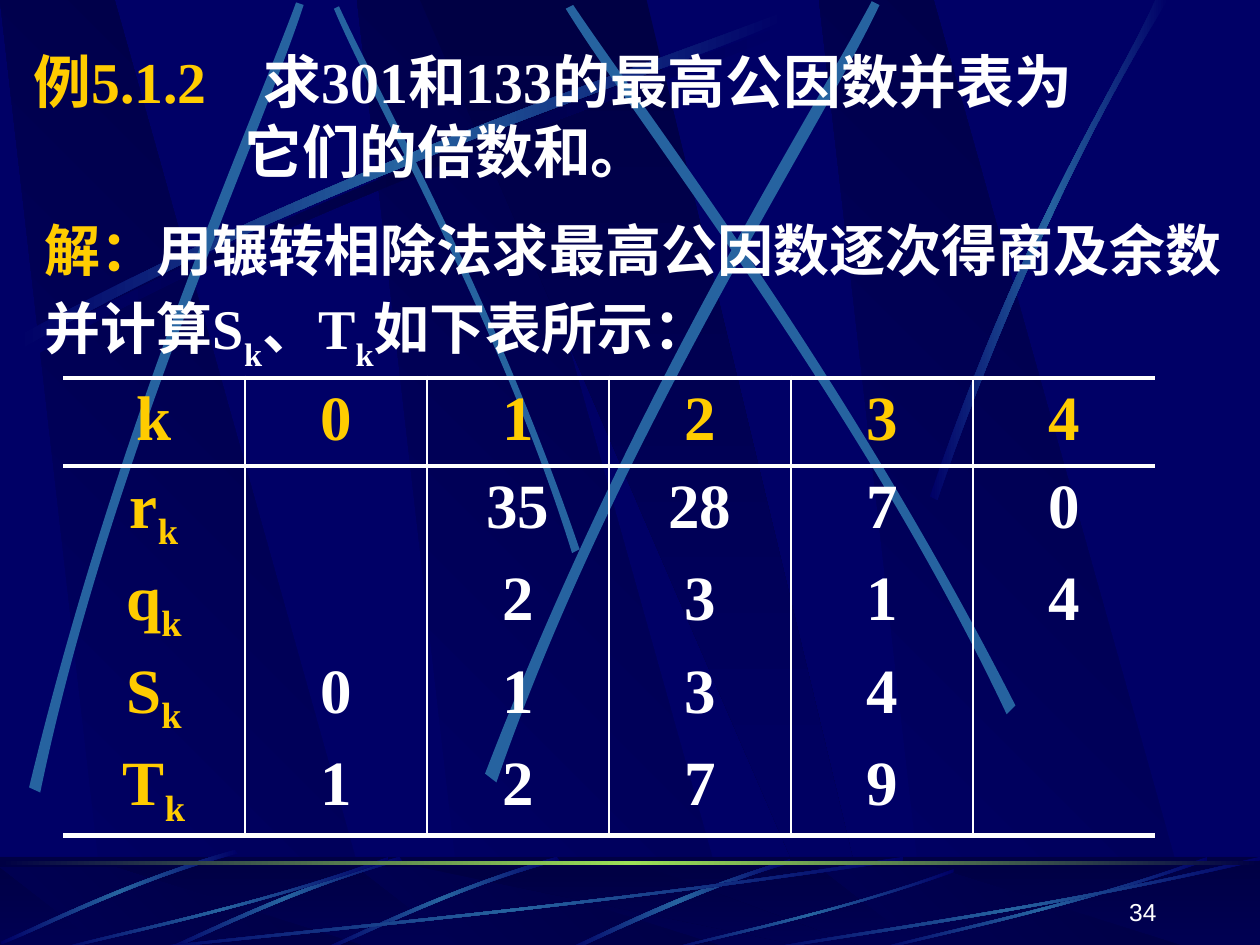
from lxml import etree
from pptx import Presentation
from pptx.dml.color import RGBColor
from pptx.enum.shapes import MSO_SHAPE
from pptx.enum.text import MSO_ANCHOR, MSO_AUTO_SIZE, PP_ALIGN
from pptx.oxml.ns import qn
from pptx.util import Pt

RECT = MSO_SHAPE.RECTANGLE
LEFT, CENTER, RIGHT = PP_ALIGN.LEFT, PP_ALIGN.CENTER, PP_ALIGN.RIGHT
TOP, MIDDLE, BOTTOM = MSO_ANCHOR.TOP, MSO_ANCHOR.MIDDLE, MSO_ANCHOR.BOTTOM
COLORS = {"navy": "000066", "night": "000044", "beam": "2663A0",
          "green": "9CE157", "gold": "FFCC00", "white": "FFFFFF"}
HAN, ROMAN, SANS = "Noto Sans CJK SC", "Times New Roman", "Arial"

SHADE = ("navy", "night", "navy")
GLOW = ("navy", "beam", "navy")
LONG_RAY = [(14.4, 198), (204.5, 96.5), (377.3, 42.5), (450.7, 13),
            (452.9, 17.3), (380.2, 49.7), (182.9, 108.7), (16.6, 205.2)]
BRIGHT_RAYS = [
    [(331.2, 313.9), (281.5, 168.5), (217.4, 55.4), (193.7, 3.6),
     (190.8, 5), (212.4, 56.9), (286.6, 185.8), (326.9, 316.1)],
    [(16.6, 450), (67, 240.5), (141.8, 75.6), (169.2, 1.4),
     (173.5, 2.9), (149, 78.5), (61.9, 265), (23, 452.9)],
    [(277.2, 442.1), (358.6, 230.4), (459.4, 73.4), (498.2, 0.7),
     (502.6, 2.9), (467.3, 77.8), (349.9, 255.6), (283.7, 447.1)],
    [(580.3, 403.2), (482.4, 211), (371.5, 68.4), (327.6, 2.9),
     (323.3, 5), (365, 72.7), (493.2, 234), (575.3, 408.2)],
]
CORNER_RAY = [(531.4, 283.7), (586.1, 124.6), (639.4, 47.5), (660.2, 0),
              (667.4, 0), (601.9, 104.4), (553.7, 231.8), (535.7, 285.8)]
FLOOR_RAY = [(451.4, 491), (386.6, 510.5), (343.4, 534.2), (322.6, 542.9),
             (326.2, 543.6), (352.8, 531.4), (411.1, 504), (452.2, 493.2)]
SHORT_RAY = [(318.2, 489.6), (255.6, 507.6), (206.6, 532.8), (184.3, 542.2),
             (185, 543.6), (207.4, 535), (262.8, 506.2), (319.7, 491.8)]
SWEEP = [(1, 0.96), (0.57, 0.43), (0.17, 0.15), (0.01, 0),
         (0, 0.01), (0.17, 0.19), (0.62, 0.49), (1, 1)]
SWEEPS = [(72, 444, 54), (30, 192, 54), (379, 166, 47), (498, 192, 54), (432, 288, 54)]
ROWS = [["k", "0", "1", "2", "3", "4"],
        ["r", "", "35", "28", "7", "0"],
        ["q", "", "2", "3", "1", "4"],
        ["S", "0", "1", "3", "4", ""],
        ["T", "1", "2", "7", "9", ""]]


def rgb(name):
    return RGBColor.from_string(COLORS[name])


def paint(sp, colors, angle=0, alpha=None):
    sp.shadow.inherit = False
    sp.line.fill.background()
    if len(colors) == 1:
        sp.fill.solid()
        sp.fill.fore_color.rgb = rgb(colors[0])
        if alpha:
            clr = sp.element.spPr.find(qn("a:solidFill"))[0]
            etree.SubElement(clr, qn("a:alpha")).set("val", str(alpha * 1000))
        return
    sp.fill.gradient()
    sp.fill.gradient_angle = -angle % 360
    stops = sp.element.spPr.find(qn("a:gradFill")).find(qn("a:gsLst"))
    for gs in list(stops):
        stops.remove(gs)
    for i, name in enumerate(colors):
        gs = etree.SubElement(stops, qn("a:gs"), pos=str(100000 * i // (len(colors) - 1)))
        etree.SubElement(gs, qn("a:srgbClr"), val=COLORS[name])


def add_polygon(s, points, colors, angle=0):
    pts = [(Pt(x), Pt(y)) for x, y in points]
    fb = s.shapes.build_freeform(*pts[0])
    fb.add_line_segments(pts[1:], close=True)
    sp = fb.convert_to_shape()
    paint(sp, colors, angle)
    return sp


def add_rect(s, x, y, w, h, colors, **fmt):
    paint(s.shapes.add_shape(RECT, Pt(x), Pt(y), Pt(w), Pt(h)), colors, **fmt)


def add_ray(s, ctrl, colors, dx=0, dy=0):
    sp = add_polygon(s, [(x + dx, y + dy) for x, y in ctrl], colors)
    lines = list(sp.element.iter(qn("a:lnTo")))
    for trio in (lines[:3], lines[4:7]):
        bez = etree.Element(qn("a:cubicBezTo"))
        trio[0].addprevious(bez)
        for ln in trio:
            bez.append(ln[0])
            ln.getparent().remove(ln)


def add_shafts(s, top, bottom):
    for x in (204, 0, 468):
        add_polygon(s, [(x + 62, bottom), (x + 217.5, bottom), (x + 65.5, top), (x, top)],
                    ("navy", "night"), 315)
    add_polygon(s, [(240, top), (474, bottom), (499.5, bottom), (369.5, top)],
                ("night", "navy"), 90)


def add_backdrop(s):
    add_shafts(s, 0, 541.5)
    add_ray(s, LONG_RAY, SHADE)
    add_ray(s, LONG_RAY, GLOW, -4.3, -5.8)
    for ray in BRIGHT_RAYS:
        add_ray(s, ray, ("beam",))
    add_ray(s, CORNER_RAY, GLOW)
    add_rect(s, 0, 489.6, 720, 54, ("night", "navy"), angle=90)
    add_shafts(s, 495.5, 543.6)
    add_rect(s, 0, 489.6, 720, 54, ("night",), alpha=50)
    add_ray(s, FLOOR_RAY, GLOW)
    for dx, dy in ((0, 0), (-90, 0), (-184, -4)):
        add_ray(s, SHORT_RAY, GLOW, dx, dy)
    for x, w, h in SWEEPS:
        add_ray(s, [(x + w * u, 543.6 - h * v) for u, v in SWEEP], GLOW)
    add_rect(s, 0, 492.3, 720, 1.8, ("night", "green", "night"))


def move_to_master(s, master):
    master.background.fill.solid()
    master.background.fill.fore_color.rgb = rgb("navy")
    tree = master.shapes.element
    drawn = [sp for sp in s.shapes if not sp.is_placeholder]
    for i, sp in enumerate(drawn):
        sp.element.nvSpPr.cNvPr.set("id", str(100 + i))
        tree.insert(2 + i, sp.element)


def add_run(p, text, size, font=ROMAN, color="white", bold=True, base=0):
    r = p.add_run()
    r.text = text
    r.font.size, r.font.bold, r.font.name = Pt(size), bold, font
    r.font.color.rgb = rgb(color)
    rPr = r.font._element
    etree.SubElement(rPr, qn("a:ea")).set("typeface", HAN)
    if base:
        rPr.set("baseline", str(base * 1000))


def format_box(sp, x, y, w, h, anchor):
    sp.left, sp.top, sp.width, sp.height = Pt(x), Pt(y), Pt(w), Pt(h)
    tf = sp.text_frame
    tf.word_wrap, tf.auto_size, tf.vertical_anchor = True, MSO_AUTO_SIZE.NONE, anchor
    return tf


def format_paragraph(p, align, leading=1.0):
    p.alignment = align
    p.space_before = Pt(0)
    p.line_spacing = leading


def fill_title(sp):
    tf = format_box(sp, 12, 22.5, 684, 87, MIDDLE)
    first, second = tf.paragraphs[0], tf.add_paragraph()
    for p in (first, second):
        format_paragraph(p, LEFT)
    tabs = etree.SubElement(first._p.get_or_add_pPr(), qn("a:tabLst"))
    etree.SubElement(tabs, qn("a:tab"), pos=str(Pt(131.5)), algn="l")
    second._p.get_or_add_pPr().set("marL", str(Pt(120.5)))
    add_run(first, "例", 33, HAN, "gold")
    add_run(first, "5.1.2\t", 33, color="gold")
    add_run(first, "求301和133的最高公因数并表为", 33)
    add_run(second, "它们的倍数和。", 33)


def add_solution(s):
    tf = format_box(s.shapes.add_textbox(0, 0, 0, 0), 18.5, 114, 690, 108, TOP)
    p = tf.paragraphs[0]
    format_paragraph(p, LEFT, 1.14)
    add_run(p, "解：", 32, HAN, "gold")
    add_run(p, "用辗转相除法求最高公因数逐次得商及余数并计算", 32, HAN)
    for name in ("S", "、T"):
        add_run(p, name, 32)
        add_run(p, "k", 32, base=-30)
    add_run(p, "如下表所示：", 32, HAN)


def set_borders(cell, **widths):
    tcPr = cell._tc.get_or_add_tcPr()
    for side in "LRTB":
        width = widths.get(side, 0)
        ln = etree.SubElement(tcPr, qn("a:ln" + side), w=str(Pt(width)))
        if width:
            fill = etree.SubElement(ln, qn("a:solidFill"))
            etree.SubElement(fill, qn("a:srgbClr"), val=COLORS["white"])
        else:
            etree.SubElement(ln, qn("a:noFill"))


def add_division_table(s):
    n, m = len(ROWS), len(ROWS[0])
    tbl = s.shapes.add_table(n, m, Pt(36), Pt(216), Pt(624), Pt(252)).table
    tbl.first_row = tbl.horz_banding = False
    for i, row in enumerate(ROWS):
        for j, text in enumerate(row):
            cell = tbl.cell(i, j)
            set_borders(cell, L=1 if j else 0, R=1 if j < m - 1 else 0,
                        T={0: 3, 1: 2.25}.get(i, 0), B={0: 2.25, n - 1: 3}.get(i, 0))
            cell.fill.background()
            p = cell.text_frame.paragraphs[0]
            format_paragraph(p, CENTER)
            if text:
                add_run(p, text, 36, color="gold" if i == 0 or j == 0 else "white")
            if i and j == 0:
                add_run(p, "k", 36, color="gold", base=-25)


def add_page_number(s):
    tf = format_box(s.shapes.add_textbox(0, 0, 0, 0), 518, 497, 150, 36, BOTTOM)
    format_paragraph(tf.paragraphs[0], RIGHT)
    add_run(tf.paragraphs[0], "34", 14, SANS, bold=False)


def main():
    prs = Presentation()
    prs.slide_width, prs.slide_height = Pt(720), Pt(540)
    s = prs.slides.add_slide(prs.slide_layouts[5])
    add_backdrop(s)
    move_to_master(s, prs.slide_master)
    fill_title(s.shapes.title)
    add_solution(s)
    add_division_table(s)
    add_page_number(s)
    prs.save("out.pptx")


if __name__ == "__main__":
    main()
